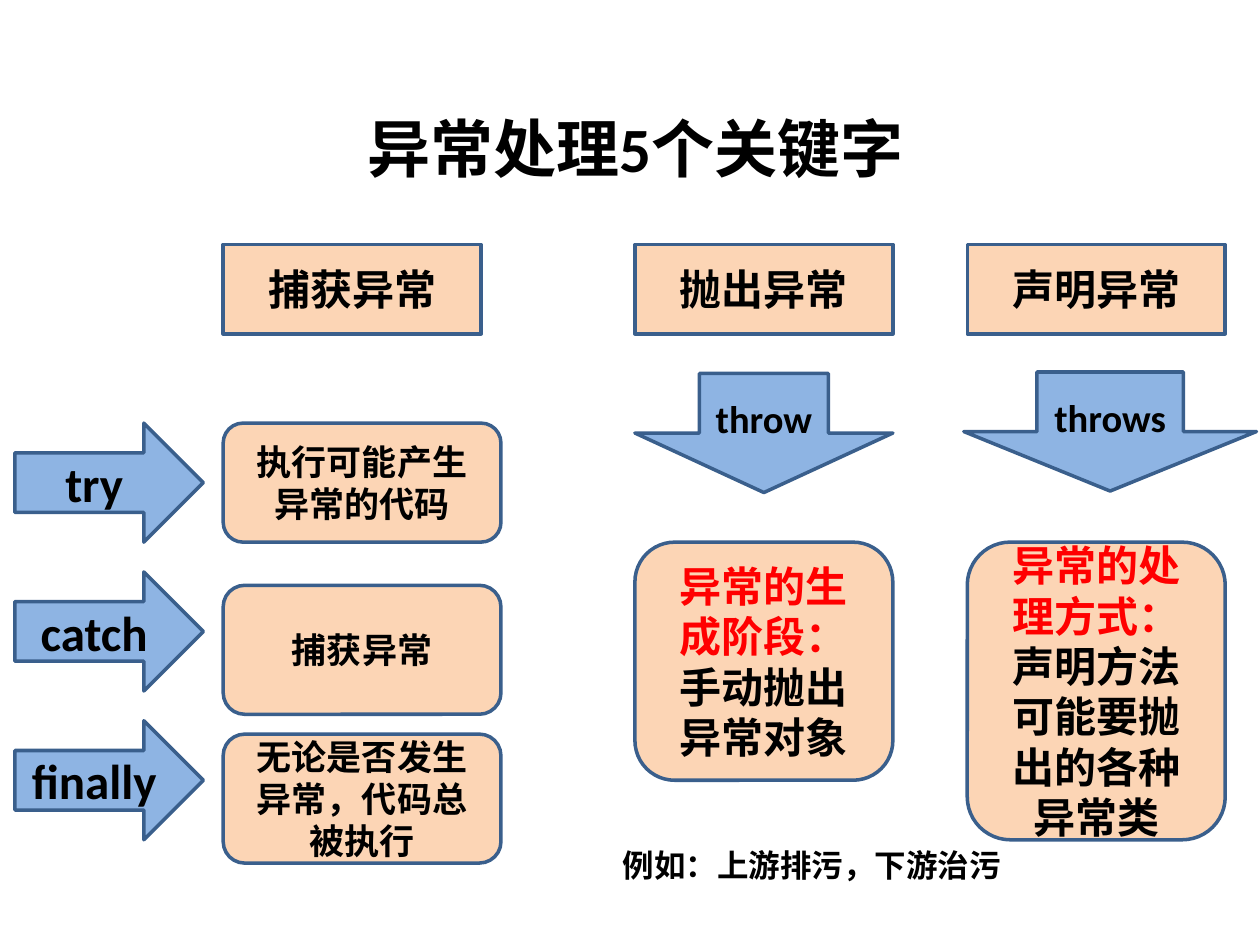
from lxml import etree
from pptx import Presentation
from pptx import util as u
from pptx.dml.color import RGBColor
from pptx.enum import shapes, text
from pptx.oxml.ns import qn

COLORS = {"peach": "FCD5B5", "blue": "8EB4E3", "edge": "3A5F8C",
          "ink": "000000", "key": "FF0000"}
LATIN, HAN = "Calibri", "Noto Sans CJK SC"
KIND = shapes.MSO_SHAPE


def color(name):
    return RGBColor.from_string(COLORS[name])


def place(box, left, top, width, height):
    values = {"left": left, "top": top, "width": width, "height": height}
    for name, value in values.items():
        setattr(box, name, u.Cm(value))


def write(box, spans, size, align, anchor, font=LATIN):
    """Fill one paragraph with (words, colour) spans."""
    frame = box.text_frame
    frame_format = {"word_wrap": True, "vertical_anchor": anchor,
                    "auto_size": text.MSO_AUTO_SIZE.NONE}
    for name, value in frame_format.items():
        setattr(frame, name, value)
    para = frame.paragraphs[0]
    para.alignment = align
    for words, ink in spans:
        span = para.add_run()
        span.text = words
        for name, value in {"size": u.Pt(size), "bold": True, "name": font}.items():
            setattr(span.font, name, value)
        span.font.color.rgb = color(ink)
        etree.SubElement(span.font._element, qn("a:ea"), typeface=HAN)


def add_block(page, kind, fill, area, spans, size):
    """Outlined shape with centred text."""
    left, top, width, height = map(u.Cm, area)
    box = page.shapes.add_shape(kind, left, top, width, height)
    box.shadow.inherit = False
    box.fill.solid()
    box.fill.fore_color.rgb = color(fill)
    box.line.color.rgb = color("edge")
    box.line.width = u.Pt(2)
    write(box, spans, size, text.PP_ALIGN.CENTER, text.MSO_ANCHOR.MIDDLE)


def add_heading(page, left, words):
    add_block(page, KIND.RECTANGLE, "peach", (left, 4.93, 5.2, 1.8),
              [(words, "ink")], 24)


def add_step(page, row, keyword, top, height, words):
    """Keyword arrow pointing at its explanation."""
    add_block(page, KIND.RIGHT_ARROW, "blue", (0.3, 8.53 + 3 * row, 3.8, 2.4),
              [(keyword, "ink")], 28)
    add_block(page, KIND.ROUNDED_RECTANGLE, "peach", (4.5, top, 5.6, height),
              [(words, "ink")], 20)


def add_column(page, left, heading, arrow, keyword, height, stage, detail):
    """Heading, keyword arrow and explanation from top to bottom."""
    add_heading(page, left, heading)
    add_block(page, KIND.DOWN_ARROW, "blue", arrow, [(keyword, "ink")], 22)
    add_block(page, KIND.ROUNDED_RECTANGLE, "peach", (left, 10.93, 5.2, height),
              [(stage, "key"), (detail, "ink")], 24)


def main():
    deck = Presentation()
    deck.slide_width, deck.slide_height = u.Cm(25.4), u.Cm(19.05)
    page = deck.slides.add_slide(deck.slide_layouts[5])

    # Title
    title = page.shapes.title
    place(title, 7.15, 2.08, 13.4, 1.8)
    write(title, [("异常处理5个关键字", "ink")], 36,
          text.PP_ALIGN.LEFT, text.MSO_ANCHOR.TOP)

    # Catching: three keywords
    add_heading(page, 4.5, "捕获异常")
    steps = [("try", 8.53, 2.4, "执行可能产生异常的代码"),
             ("catch", 11.8, 2.6, "捕获异常"),
             ("finally", 14.8, 2.6, "无论是否发生异常，代码总被执行")]
    for row, step in enumerate(steps):
        add_step(page, row, *step)

    # Throwing and declaring
    add_column(page, 12.8, "抛出异常", (12.8, 7.53, 5.2, 2.4), "throw",
               4.8, "异常的生成阶段：", "手动抛出异常对象")
    add_column(page, 19.5, "声明异常", (19.43, 7.5, 5.9, 2.4), "throws",
               6, "异常的处理方式：", "声明方法可能要抛出的各种异常类")

    # Example
    note = page.shapes.add_textbox(0, 0, 0, 0)
    place(note, 12.3, 16.93, 9.2, 1.03)
    write(note, [("例如：上游排污，下游治污", "ink")], 18,
          text.PP_ALIGN.LEFT, text.MSO_ANCHOR.TOP, HAN)

    deck.save("out.pptx")


if __name__ == "__main__":
    main()
